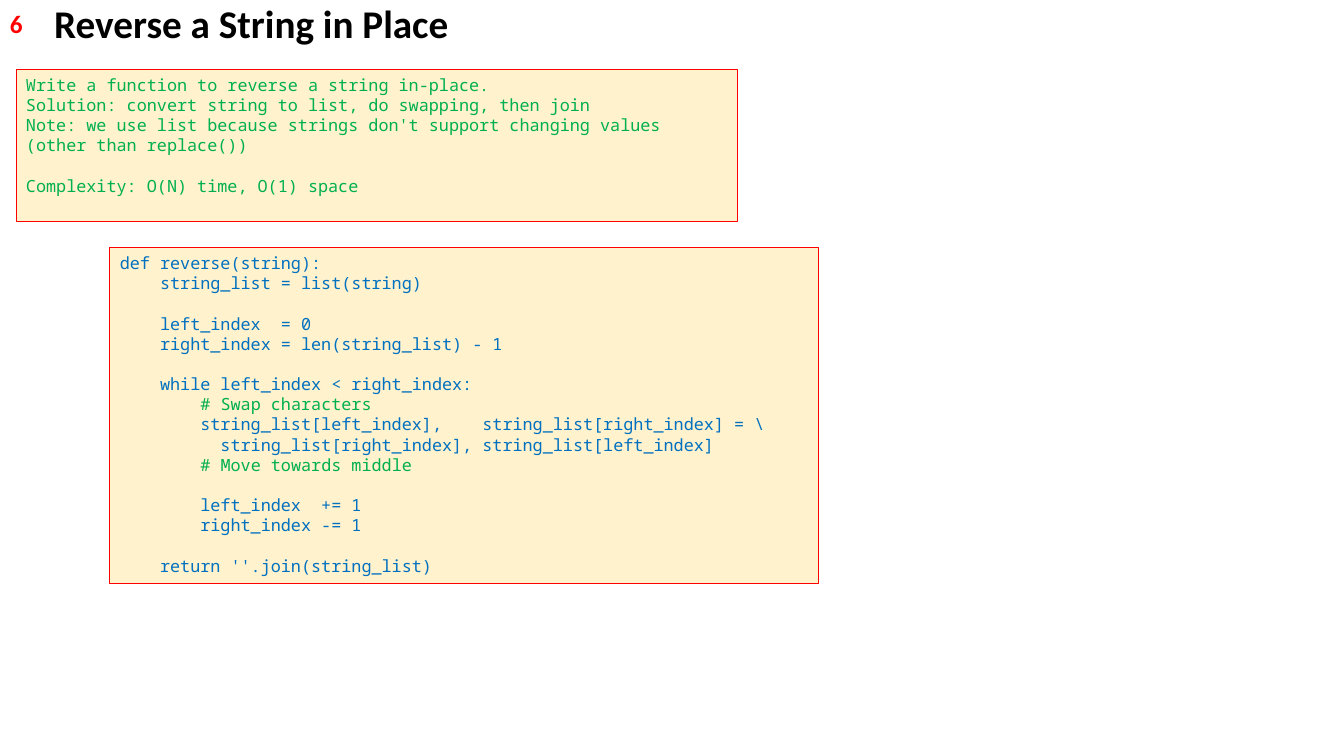
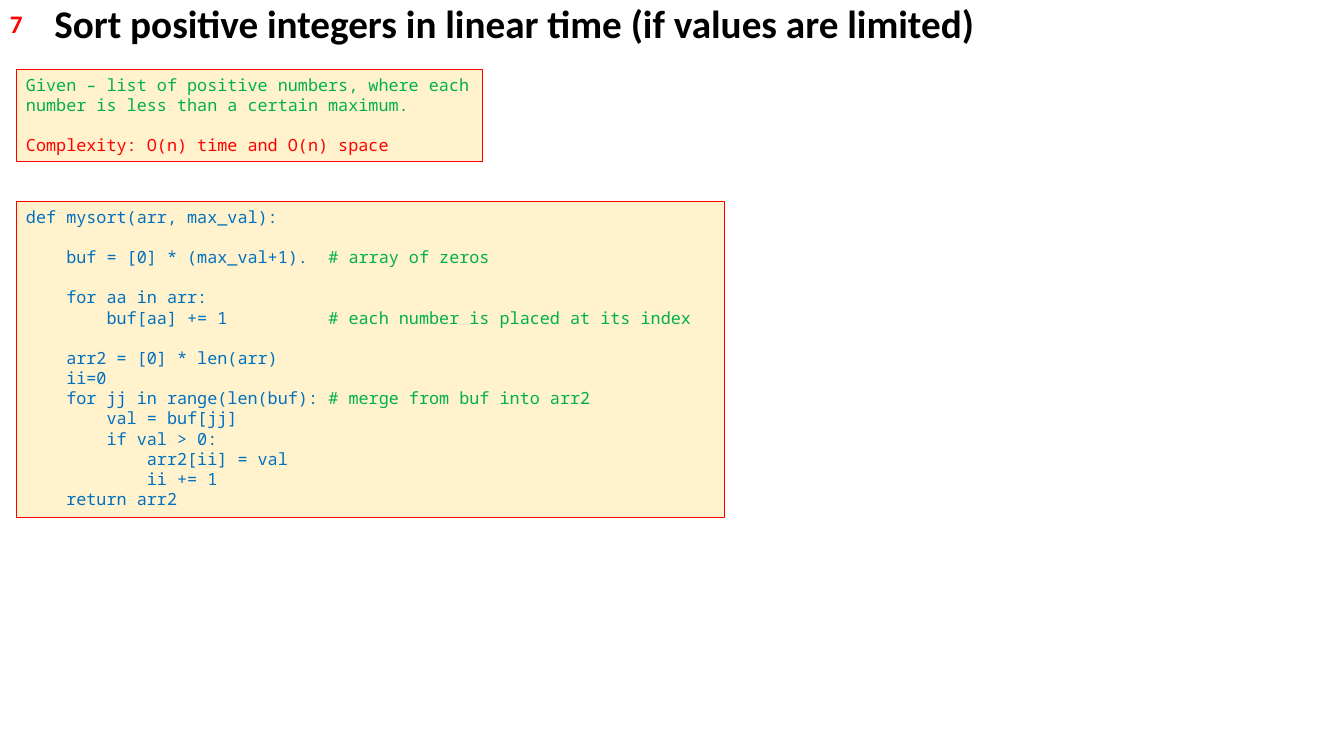
from dataclasses import dataclass

import pptx
import pptx.dml.color
import pptx.enum.shapes
import pptx.enum.text
import pptx.presentation
import pptx.shapes.autoshape
import pptx.slide
import pptx.text.text
import pptx.util

Pt = pptx.util.Pt
RGBColor = pptx.dml.color.RGBColor


@dataclass(frozen=True)
class Theme:
    heading: RGBColor = RGBColor(0x00, 0x00, 0x00)
    accent: RGBColor = RGBColor(0xFF, 0x00, 0x00)
    panel: RGBColor = RGBColor(0xFF, 0xF2, 0xCC)
    code: RGBColor = RGBColor(0x00, 0x70, 0xC0)
    remark: RGBColor = RGBColor(0x00, 0xB0, 0x50)
    heading_font: str = "Calibri"
    code_font: str = "Noto Sans Mono"
    heading_size: float = 28
    number_size: float = 18
    code_size: float = 12
    code_line: float = 14.4
    border: float = 0.75


THEME = Theme()
MARGIN = 11.5
PANEL_TOP = 49.7
CODE_WIDTH = 506.2


@dataclass(frozen=True)
class Area:
    left: float
    top: float
    width: float
    height: float

    def points(self) -> tuple[pptx.util.Length, ...]:
        return Pt(self.left), Pt(self.top), Pt(self.width), Pt(self.height)


@dataclass(frozen=True)
class Panel:
    area: Area
    text: str
    color: RGBColor
    highlight_mark: str
    highlight: RGBColor


@dataclass(frozen=True)
class Problem:
    number: int
    title: str
    title_width: float
    panels: tuple[Panel, ...]


def task_panel(area: Area, text: str, complexity: RGBColor) -> Panel:
    return Panel(area, text, THEME.remark, "Complexity:", complexity)


def code_panel(area: Area, text: str) -> Panel:
    return Panel(area, text, THEME.code, "#", THEME.remark)


REVERSE_TASK = """\
Write a function to reverse a string in-place.
Solution: convert string to list, do swapping, then join
Note: we use list because strings don't support changing values (other than replace())

Complexity: O(N) time, O(1) space"""

REVERSE_CODE = r"""def reverse(string):
    string_list = list(string)

    left_index  = 0
    right_index = len(string_list) - 1

    while left_index < right_index:
        # Swap characters
        string_list[left_index],    string_list[right_index] = \
          string_list[right_index], string_list[left_index]
        # Move towards middle

        left_index  += 1
        right_index -= 1

    return ''.join(string_list)"""

SORT_TASK = """\
Given – list of positive numbers, where each number is less than a certain maximum.

Complexity: O(n) time and O(n) space"""

SORT_CODE = """\
def mysort(arr, max_val):

    buf = [0] * (max_val+1).  # array of zeros

    for aa in arr:
        buf[aa] += 1          # each number is placed at its index

    arr2 = [0] * len(arr)
    ii=0
    for jj in range(len(buf): # merge from buf into arr2
        val = buf[jj]
        if val > 0:
            arr2[ii] = val
            ii += 1
    return arr2"""

PROBLEMS = (
    Problem(6, "Reverse a String in Place", 571, (
        task_panel(Area(MARGIN, PANEL_TOP, 515.5, 108.7), REVERSE_TASK, THEME.remark),
        code_panel(Area(78.5, 177.1, CODE_WIDTH, 239.8), REVERSE_CODE),
    )),
    Problem(7, "Sort positive integers in linear time (if values are limited)", 718, (
        task_panel(Area(MARGIN, PANEL_TOP, 333.4, 65.5), SORT_TASK, THEME.accent),
        code_panel(Area(MARGIN, 144, CODE_WIDTH, 225.4), SORT_CODE),
    )),
)


def style(font: pptx.text.text.Font, name: str, size: float, color: RGBColor, bold: bool) -> None:
    font.name = name
    font.size = Pt(size)
    font.bold = bold
    font.color.rgb = color


def add_label(slide: pptx.slide.Slide, area: Area, text: str, size: float,
              color: RGBColor, wrap: bool) -> None:
    frame = slide.shapes.add_textbox(*area.points()).text_frame
    frame.word_wrap = wrap
    paragraph = frame.paragraphs[0]
    paragraph.text = text
    style(paragraph.font, THEME.heading_font, size, color, True)


def write_lines(frame: pptx.text.text.TextFrame, panel: Panel) -> None:
    paragraph = frame.paragraphs[0]
    gap = 0.0
    for index, line in enumerate(panel.text.splitlines()):
        if not line:
            gap += THEME.code_line
            continue
        if index:
            paragraph = frame.add_paragraph()
        paragraph.alignment = pptx.enum.text.PP_ALIGN.LEFT
        if gap:
            paragraph.space_before = Pt(gap)
            gap = 0.0
        style(paragraph.font, THEME.code_font, THEME.code_size, panel.color, False)
        plain, mark, rest = line.partition(panel.highlight_mark)
        if plain:
            paragraph.add_run().text = plain
        if mark:
            highlighted = paragraph.add_run()
            highlighted.text = mark + rest
            if plain:
                highlighted.font.color.rgb = panel.highlight
            else:
                paragraph.font.color.rgb = panel.highlight


def add_panel(slide: pptx.slide.Slide, panel: Panel) -> None:
    box = slide.shapes.add_shape(pptx.enum.shapes.MSO_SHAPE.RECTANGLE, *panel.area.points())
    box.shadow.inherit = False
    box.fill.solid()
    box.fill.fore_color.rgb = THEME.panel
    box.line.color.rgb = THEME.accent
    box.line.width = Pt(THEME.border)
    frame = box.text_frame
    frame.word_wrap = True
    frame.vertical_anchor = pptx.enum.text.MSO_ANCHOR.TOP
    write_lines(frame, panel)


def add_problem(deck: pptx.presentation.Presentation, problem: Problem) -> None:
    slide = deck.slides.add_slide(deck.slide_layouts[6])
    add_label(slide, Area(31.7, -4.3, problem.title_width, 41), problem.title,
              THEME.heading_size, THEME.heading, True)
    add_label(slide, Area(0, 2.2, 23.8, 29), str(problem.number),
              THEME.number_size, THEME.accent, False)
    for panel in problem.panels:
        add_panel(slide, panel)


def main() -> None:
    deck = pptx.Presentation()
    deck.slide_width = Pt(960)
    deck.slide_height = Pt(540)
    for problem in PROBLEMS:
        add_problem(deck, problem)
    deck.save("out.pptx")


if __name__ == "__main__":
    main()
